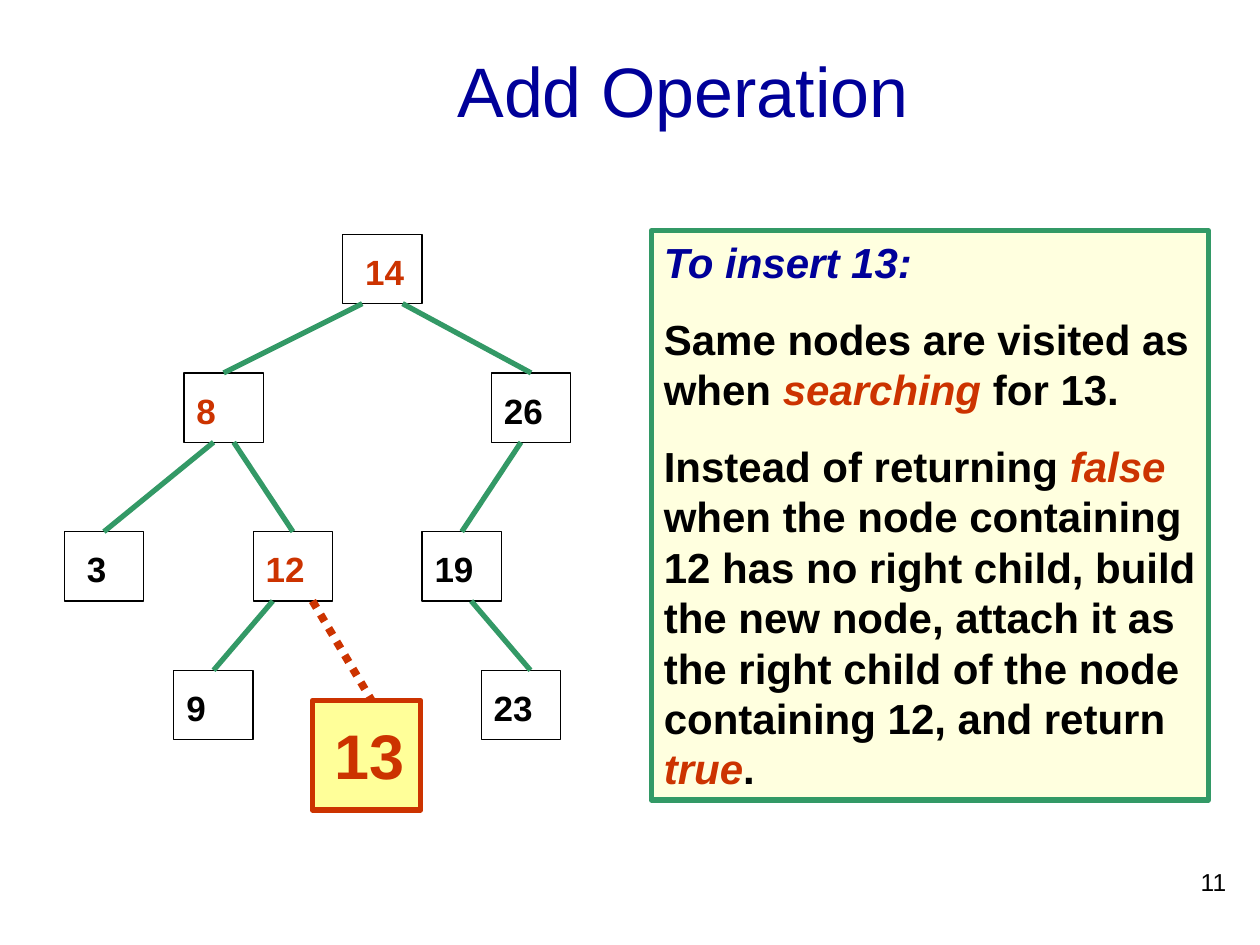
from pptx import Presentation
from pptx.dml.color import RGBColor
from pptx.enum.dml import MSO_LINE
from pptx.enum.shapes import MSO_CONNECTOR, MSO_SHAPE
from pptx.enum.text import MSO_ANCHOR, PP_ALIGN
from pptx.oxml.ns import qn
from pptx.util import Inches, Pt
from lxml import etree

COLORS = {
    "ink": "000000", "title": "000099", "green": "339966", "red": "CC3300",
    "cream": "FFFFDF", "yellow": "FFFF99",
}
NODE_W, NODE_H = 0.63, 0.55
LABEL_SHIFT = 0.08

# value: (left, top, text colour, label left shift)
NODES = {
    "14": (2.72, 1.86, "red", LABEL_SHIFT),
    "8": (1.46, 2.96, "red", 0),
    "26": (3.90, 2.96, "ink", 0),
    "3": (0.51, 4.22, "ink", LABEL_SHIFT),
    "12": (2.01, 4.22, "red", 0),
    "19": (3.35, 4.22, "ink", 0),
    "9": (1.38, 5.32, "ink", 0),
    "23": (3.82, 5.32, "ink", 0),
}

# parent, child, start offset from the middle of the parent's lower side
EDGES = [
    ("14", "8", -0.16), ("14", "26", 0.16),
    ("8", "3", -0.08), ("8", "12", 0.08),
    ("26", "19", -0.08), ("12", "9", -0.16),
]


def rgb(name):
    return RGBColor.from_string(COLORS[name])


def write(tf, paragraphs, size, bold=False, align=PP_ALIGN.LEFT,
          anchor=MSO_ANCHOR.TOP, gap=0):
    """Fill a frame; each paragraph is a list of (text, colour, italic) runs."""
    tf.word_wrap = True
    tf.vertical_anchor = anchor
    for i, runs in enumerate(paragraphs):
        p = tf.add_paragraph() if i else tf.paragraphs[0]
        p.alignment = align
        p.space_before = Pt(gap if i else 0)
        for text, color, italic in runs:
            r = p.add_run()
            r.text = text
            r.font.name = "Arial"
            r.font.size = Pt(size)
            r.font.bold = bold
            r.font.italic = italic
            r.font.color.rgb = rgb(color)


class TreeSlide:
    def __init__(self, prs):
        self.s = prs.slides.add_slide(prs.slide_layouts[5])

    def title(self, text):
        sp = self.s.shapes.title
        sp.left, sp.top = Inches(1.17), Inches(0.25)
        sp.width, sp.height = Inches(8.5), Inches(0.92)
        write(sp.text_frame, [[(text, "title", False)]], 40,
              align=PP_ALIGN.CENTER, anchor=MSO_ANCHOR.MIDDLE)

    def box(self, x, y, w, h, fill=None, line="ink", width=0.75):
        sp = self.s.shapes.add_shape(MSO_SHAPE.RECTANGLE, Inches(x), Inches(y),
                                     Inches(w), Inches(h))
        sp.shadow.inherit = False
        if fill:
            sp.fill.solid()
            sp.fill.fore_color.rgb = rgb(fill)
        else:
            sp.fill.background()
        sp.line.color.rgb = rgb(line)
        sp.line.width = Pt(width)
        return sp

    def label(self, text, x, y, w, h, size=20, color="ink", **style):
        sp = self.s.shapes.add_textbox(Inches(x), Inches(y), Inches(w), Inches(h))
        write(sp.text_frame, [[(text, color, False)]], size, **style)

    def edge(self, x1, y1, x2, y2, color="green", width=3, dash=None, child=None):
        """Draw a line, joined to the top of child when one is given."""
        line = self.s.shapes.add_connector(MSO_CONNECTOR.STRAIGHT, Inches(x1),
                                           Inches(y1), Inches(x2), Inches(y2))
        if child is not None:
            line.end_connect(child, 0)
        line.line.color.rgb = rgb(color)
        line.line.width = Pt(width)
        if dash:
            line.line.dash_style = dash
        etree.SubElement(line._element.spPr, qn("a:effectLst"))


def main():
    prs = Presentation()
    prs.slide_width, prs.slide_height = Inches(10), Inches(7.5)
    slide = TreeSlide(prs)
    slide.title("Add Operation")

    boxes = {value: slide.box(x, y, NODE_W, NODE_H)
             for value, (x, y, _, _) in NODES.items()}
    for parent, child, offset in EDGES:
        px, py = NODES[parent][:2]
        cx, cy = NODES[child][:2]
        slide.edge(px + NODE_W / 2 + offset, py + NODE_H, cx + NODE_W / 2, cy,
                   child=boxes[child])
    slide.edge(3.74, 4.77, 4.21, 5.32)  # 19 to 23, right of the middle
    for value, (x, y, color, shift) in NODES.items():
        slide.label(value, x + shift, y + LABEL_SHIFT, 0.55, 0.44,
                    color=color, bold=True)

    panel = slide.box(5.17, 1.83, 4.42, 4.52, fill="cream", line="green", width=3)
    write(panel.text_frame, [
        [("To insert 13:", "title", True)],
        [("Same nodes are visited as when ", "ink", False),
         ("searching", "red", True), (" for 13.", "ink", False)],
        [("Instead of returning ", "ink", False), ("false", "red", True),
         (" when the node containing 12 has no right child, build the new node, "
          "attach it as the right child of the node containing 12, and return ",
          "ink", False),
         ("true", "red", True), (".", "ink", False)],
    ], 24, bold=True, gap=15)

    slide.box(2.48, 5.56, 0.86, 0.87, fill="yellow", line="red", width=3)
    slide.label("13", 2.56, 5.64, 0.86, 0.7, size=36, color="red", bold=True)
    slide.edge(2.48, 4.77, 2.95, 5.56, color="red", width=4.5,
               dash=MSO_LINE.ROUND_DOT)
    slide.label("11", 7.75, 6.83, 2.08, 0.5, size=14, align=PP_ALIGN.RIGHT)

    prs.save("out.pptx")


if __name__ == "__main__":
    main()
